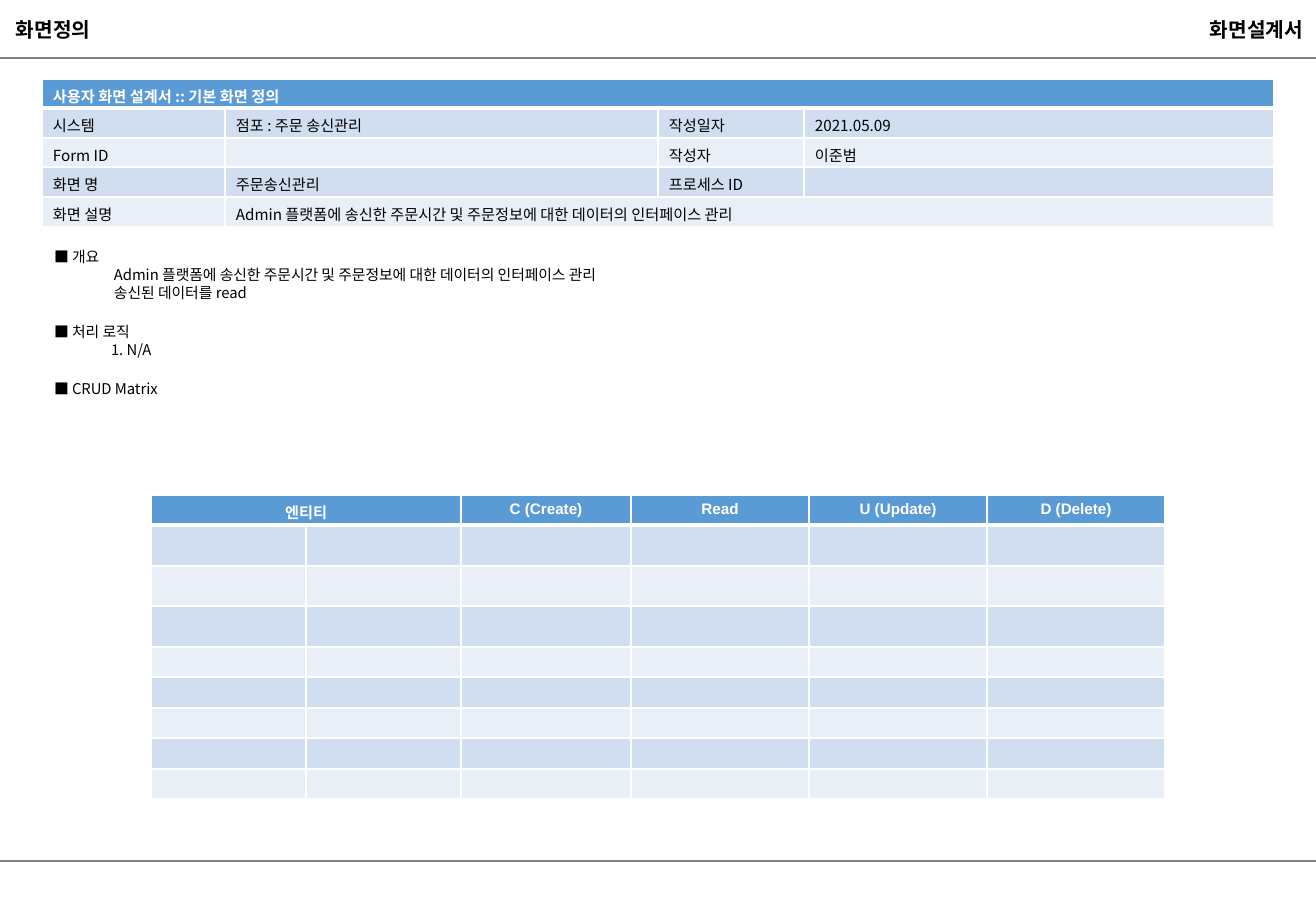
from itertools import product

from lxml import etree
from pptx import Presentation, util as u
from pptx.dml.color import RGBColor
from pptx.enum import shapes, text
from pptx.oxml.ns import qn

PX_PER_INCH = 121.5
KOREAN, LATIN = "Noto Sans CJK KR", "Arial"
BLACK, WHITE, GRAY = "000000", "FFFFFF", "7F7F7F"
HEADER, BANDS = "5B9BD5", ("D0DEEF", "E9EFF7")
LEFT, CENTER, RIGHT = text.PP_ALIGN.LEFT, text.PP_ALIGN.CENTER, text.PP_ALIGN.RIGHT


def px(n):
    return u.Emu(round(n * 914400 / PX_PER_INCH))


def color(hex_code):
    return RGBColor.from_string(hex_code)


class ScreenSheet:
    """Style and current slide of the screen definition document."""

    def __init__(self, width, height):
        self.deck = Presentation()
        self.deck.slide_width, self.deck.slide_height = px(width), px(height)
        self.slide = self.deck.slides.add_slide(self.deck.slide_layouts[6])

    def rule(self, y, width):
        line = self.slide.shapes.add_connector(
            shapes.MSO_CONNECTOR.STRAIGHT, 0, px(y), px(width), px(y))
        line.line.color.rgb = color(GRAY)
        line.line.width = u.Pt(0.75)
        etree.SubElement(line._element.spPr, qn("a:effectLst"))

    def style(self, paragraph, size, hex_code=BLACK, bold=False, font=KOREAN, align=LEFT):
        paragraph.alignment = align
        for run in paragraph.runs:
            run.font.size, run.font.bold, run.font.name = u.Pt(size), bold, font
            run.font.color.rgb = color(hex_code)
            east_asian = etree.Element(qn("a:ea"), typeface=KOREAN)
            run.font._element.find(qn("a:latin")).addnext(east_asian)

    def box(self, x, y, w, h, anchor):
        frame = self.slide.shapes.add_textbox(px(x), px(y), px(w), px(h)).text_frame
        frame.word_wrap = True
        frame.vertical_anchor = anchor
        frame.margin_left = frame.margin_right = px(12)
        frame.margin_top = frame.margin_bottom = px(6)
        return frame

    def title(self, wording, x, y, w, h, align):
        frame = self.box(x, y, w, h, text.MSO_ANCHOR.MIDDLE)
        frame.text = wording
        self.style(frame.paragraphs[0], 12, bold=True, align=align)

    def sections(self, x, y, w, h, parts):
        frame = self.box(x, y, w, h, text.MSO_ANCHOR.TOP)
        lines = [(line, indent if i else 0)
                 for heading, indent, details in parts
                 for i, line in enumerate([heading, *details])]
        for i, (line, indent) in enumerate(lines):
            paragraph = frame.add_paragraph() if i else frame.paragraphs[0]
            paragraph.text = line
            paragraph.line_spacing = 1.0
            if indent:
                paragraph._p.get_or_add_pPr().set("marL", str(px(indent)))
            elif i:
                paragraph.space_before = u.Pt(12.75)
            self.style(paragraph, 8.8)

    def borders(self, cell, top, bottom):
        properties = cell._tc.get_or_add_tcPr()
        for side, width in zip("LRTB", (1, 1, top, bottom)):
            edge = etree.SubElement(properties, qn("a:ln" + side), w=str(u.Pt(width)))
            fill = etree.SubElement(edge, qn("a:solidFill"))
            etree.SubElement(fill, qn("a:srgbClr"), val=WHITE)

    def table(self, x, y, columns, rows, wording, merges, font=KOREAN, align=LEFT, inset=12):
        grid = self.slide.shapes.add_table(
            len(rows), len(columns), px(x), px(y), px(sum(columns)), px(sum(rows))).table
        grid.first_row = grid.horz_banding = False
        for column, width in zip(grid.columns, columns):
            column.width = px(width)
        for row, height in zip(grid.rows, rows):
            row.height = px(height)
        for r, c in product(range(len(rows)), range(len(columns))):
            cell = grid.cell(r, c)
            cell.margin_left = cell.margin_right = px(inset)
            cell.margin_top, cell.margin_bottom = px(6), 0
            self.borders(cell, 3 if r == 1 else 1, 1 if r else 3)
            cell.fill.solid()
            cell.fill.fore_color.rgb = color(BANDS[(r - 1) % 2] if r else HEADER)
            paragraph = cell.text_frame.paragraphs[0]
            label = wording.get((r, c))
            if label:
                paragraph.text = label
                self.style(paragraph, 9, BLACK if r else WHITE, not r, font, align)
            else:
                paragraph._p.get_or_add_endParaRPr().set("sz", str(u.Pt(9).centipoints))
        for r, first, last in merges:
            grid.cell(r, first).merge(grid.cell(r, last))


def main():
    sheet = ScreenSheet(1316, 911)

    # Page frame
    sheet.rule(861, 1316)
    sheet.rule(58, 1316)
    sheet.title("화면정의", 4, 11, 106, 36, LEFT)
    sheet.title("화면설계서", 942, 11, 373, 36, RIGHT)

    # Basic screen definition
    overview = "Admin 플랫폼에 송신한 주문시간 및 주문정보에 대한 데이터의 인터페이스 관리"
    definition = [
        ["사용자 화면 설계서 :: 기본 화면 정의"],
        ["시스템", "점포 : 주문 송신관리", "작성일자", "2021.05.09"],
        ["Form ID", "", "작성자", "이준범"],
        ["화면 명", "주문송신관리", "프로세스 ID", ""],
        ["화면 설명", overview],
    ]
    sheet.table(
        42, 79, [183, 433, 146, 470], [29, 30, 29, 30, 30],
        {(r, c): label for r, row in enumerate(definition) for c, label in enumerate(row)},
        [(0, 0, 3), (4, 1, 3)], inset=11)

    # Overview, logic and matrix headings
    sheet.sections(42, 242, 1234, 160, [
        ("■ 개요", 60, [overview, "송신된 데이터를 read"]),
        ("■ 처리 로직", 57, ["1. N/A"]),
        ("■ CRUD Matrix", 0, []),
    ])

    # CRUD matrix
    operations = ["엔티티", "", "C (Create)", "Read", "U (Update)", "D (Delete)"]
    sheet.table(
        151, 495, [155, 155, 170, 178, 178, 178], [30, 41, 40, 41, 30, 31, 30, 31, 30],
        {(0, c): label for c, label in enumerate(operations)},
        [(0, 0, 1)], font=LATIN, align=CENTER)

    sheet.deck.save("out.pptx")


if __name__ == "__main__":
    main()
